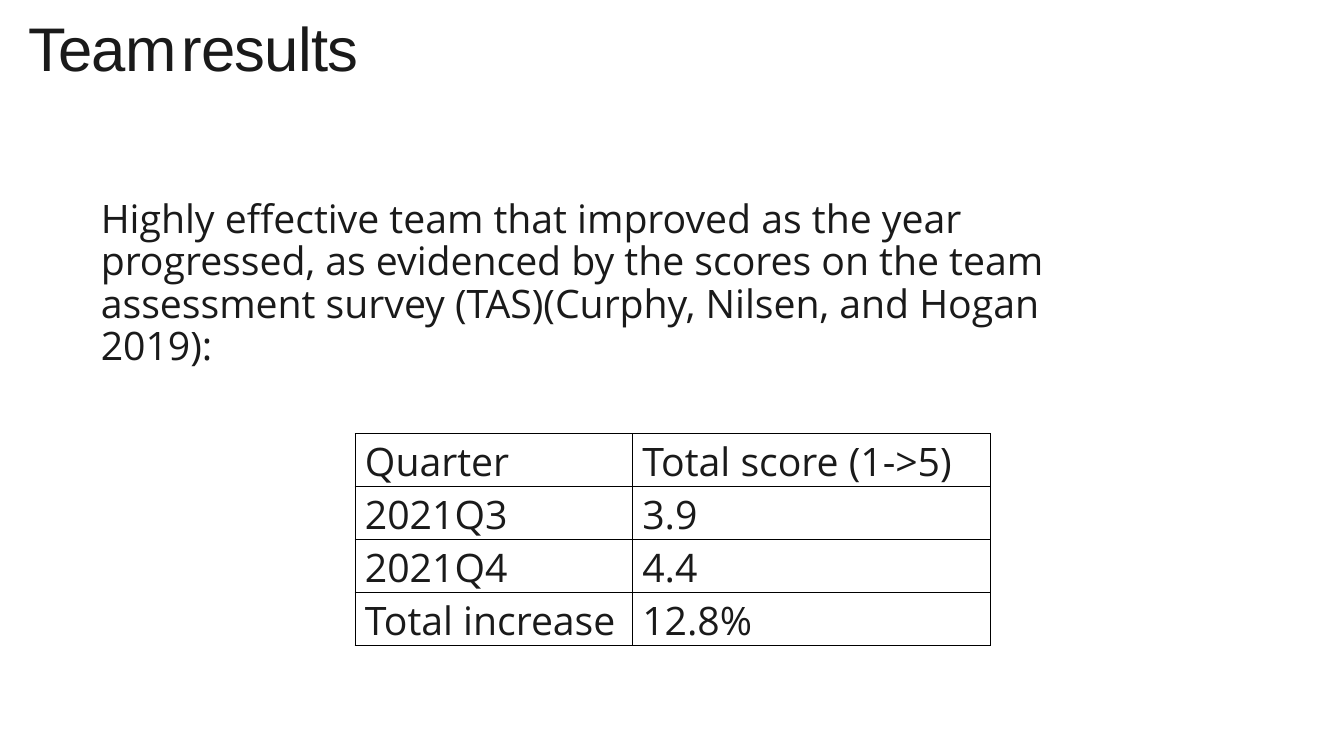
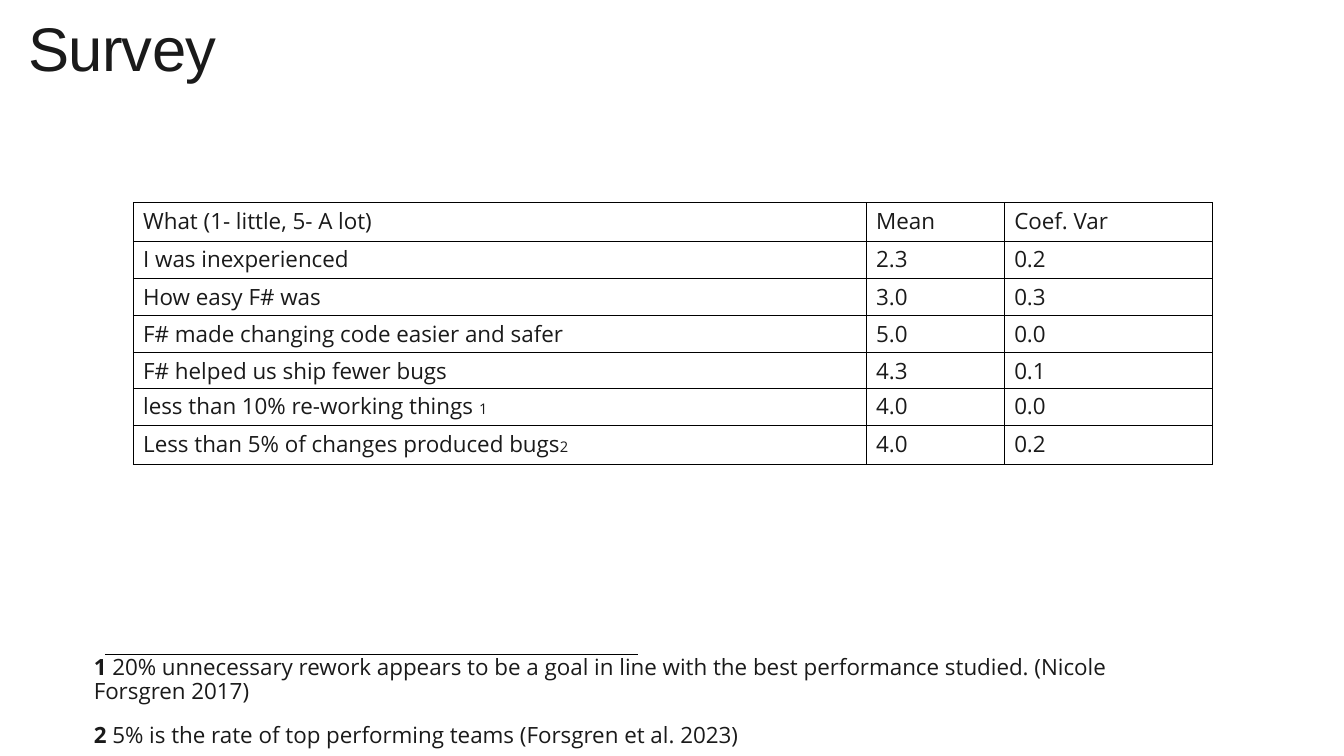
from dataclasses import dataclass

from lxml.etree import SubElement
from pptx import Presentation
from pptx.dml.color import RGBColor
from pptx.enum.shapes import MSO_CONNECTOR
from pptx.enum.text import MSO_ANCHOR, MSO_AUTO_SIZE, PP_ALIGN
from pptx.oxml.ns import qn
from pptx.util import Inches, Pt


@dataclass(frozen=True)
class Theme:
    ink: RGBColor = RGBColor(0x1A, 0x1A, 0x1A)
    rule: RGBColor = RGBColor(0, 0, 0)
    title_font: str = "Arial"
    body_font: str = "Open Sans"
    space_font: str = "Calibri"
    title_size: float = 44
    title_space_size: float = 14
    large_size: float = 28
    small_size: float = 16
    marker_size: float = 10.5
    line_spacing: float = 0.9
    paragraph_gap: float = 14.2
    cell_border: float = 0.5
    footnote_rule: float = 0.4


class Deck:
    """Holds the presentation, its theme and the current slide."""

    def __init__(self, theme):
        self.theme = theme
        self.presentation = Presentation()
        self.presentation.slide_width = Inches(13.33)
        self.presentation.slide_height = Inches(7.5)
        self.slide = None

    def add_run(self, paragraph, text, size, font=None, bold=False):
        run = paragraph.add_run()
        run.text = text
        run.font.name = font or self.theme.body_font
        run.font.size = Pt(size)
        run.font.bold = bold
        run.font.color.rgb = self.theme.ink
        return run

    def format_frame(self, frame, top_inset):
        frame.word_wrap = True
        frame.auto_size = MSO_AUTO_SIZE.NONE
        frame.vertical_anchor = MSO_ANCHOR.TOP
        frame.margin_left = frame.margin_right = frame.margin_bottom = 0
        frame.margin_top = Inches(top_inset)

    def format_paragraph(self, paragraph, gap=0):
        paragraph.alignment = PP_ALIGN.LEFT
        paragraph.line_spacing = self.theme.line_spacing
        paragraph.space_before = Pt(gap)

    def add_slide(self, title):
        theme = self.theme
        self.slide = self.presentation.slides.add_slide(self.presentation.slide_layouts[5])
        shape = self.slide.shapes.title
        shape.left, shape.top = Inches(0.28), Inches(0.16)
        shape.width, shape.height = Inches(4), Inches(1.3)
        self.format_frame(shape.text_frame, 0.02)
        paragraph = shape.text_frame.paragraphs[0]
        self.format_paragraph(paragraph)
        for index, word in enumerate(title.split()):
            if index:  # words are set apart by a narrow space
                self.add_run(paragraph, " ", theme.title_space_size, theme.space_font)
            run = self.add_run(paragraph, word, theme.title_size, theme.title_font)
            run.font._element.set("spc", "-50")

    def add_text(self, left, top, width, height, paragraphs, size):
        """Each paragraph is a list of (text, bold) pairs."""
        shape = self.slide.shapes.add_textbox(
            Inches(left), Inches(top), Inches(width), Inches(height))
        frame = shape.text_frame
        self.format_frame(frame, 0.01)
        for index, pieces in enumerate(paragraphs):
            paragraph = frame.add_paragraph() if index else frame.paragraphs[0]
            self.format_paragraph(paragraph, self.theme.paragraph_gap if index else 0)
            for text, bold in pieces:
                self.add_run(paragraph, text, size, bold=bold)

    def add_border(self, cell):
        properties = cell._tc.get_or_add_tcPr()
        for side in ("lnL", "lnR", "lnT", "lnB"):
            line = SubElement(properties, qn(f"a:{side}"), w=str(Pt(self.theme.cell_border)))
            fill = SubElement(line, qn("a:solidFill"))
            SubElement(fill, qn("a:srgbClr"), val=str(self.theme.rule))

    def add_table(self, left, top, widths, heights, rows, size, markers=None):
        """Markers maps a row number to the footnote number after its label."""
        table = self.slide.shapes.add_table(
            len(rows), len(widths), Inches(left), Inches(top),
            Inches(sum(widths)), Inches(sum(heights))).table
        table.first_row = table.horz_banding = False
        for column, width in zip(table.columns, widths):
            column.width = Inches(width)
        for row, height in zip(table.rows, heights):
            row.height = Inches(height)
        for row_index, values in enumerate(rows):
            for column_index, value in enumerate(values):
                cell = table.cell(row_index, column_index)
                cell.margin_top, cell.margin_bottom = Inches(0.05), 0
                self.add_border(cell)
                cell.fill.background()
                paragraph = cell.text_frame.paragraphs[0]
                self.format_paragraph(paragraph)
                self.add_run(paragraph, value, size)
                if column_index == 0 and markers and row_index in markers:
                    self.add_run(paragraph, markers[row_index], self.theme.marker_size)

    def add_rule(self, left, top, width):
        line = self.slide.shapes.add_connector(
            MSO_CONNECTOR.STRAIGHT, Inches(left), Inches(top),
            Inches(left + width), Inches(top))
        line.line.color.rgb = self.theme.rule
        line.line.width = Pt(self.theme.footnote_rule)
        SubElement(line._element.spPr, qn("a:effectLst"))


def build_team_results(deck):
    deck.add_slide("Team results")
    size = deck.theme.large_size
    # Introduction
    deck.add_text(1, 1.97, 10.41, 2.3, [[(
        "Highly effective team that improved as the year progressed, as evidenced by "
        "the scores on the team assessment survey (TAS)(Curphy, Nilsen, and Hogan 2019):",
        False)]], size)
    # Quarterly scores
    rows = [
        ("Quarter", "Total score (1->5)"),
        ("2021Q3", "3.9"),
        ("2021Q4", "4.4"),
        ("Total increase", "12.8%"),
    ]
    deck.add_table(3.52, 4.3, [2.75, 3.55], [0.52] * len(rows), rows, size)


def build_survey(deck):
    deck.add_slide("Survey")
    size = deck.theme.small_size
    # Survey answers
    rows = [
        ("What (1- little, 5- A lot)", "Mean", "Coef. Var"),
        ("I was inexperienced", "2.3", "0.2"),
        ("How easy F# was", "3.0", "0.3"),
        ("F# made changing code easier and safer", "5.0", "0.0"),
        ("F# helped us ship fewer bugs", "4.3", "0.1"),
        ("less than 10% re-working things ", "4.0", "0.0"),
        ("Less than 5% of changes produced bugs", "4.0", "0.2"),
    ]
    heights = [0.38, 0.37, 0.37, 0.37, 0.35, 0.37, 0.39]
    deck.add_table(1.32, 2.01, [7.27, 1.37, 2.06], heights, rows, size,
                   markers={5: "1", 6: "2"})
    # Footnotes
    deck.add_rule(1.04, 6.49, 5.29)
    deck.add_text(0.93, 6.5, 10.22, 0.93, [
        [("1", True), (" 20% unnecessary rework appears to be a goal in line with the "
                       "best performance studied. (Nicole Forsgren 2017)", False)],
        [("2", True), (" 5% is the rate of top performing teams "
                       "(Forsgren et al. 2023)", False)],
    ], size)


def main():
    deck = Deck(Theme())
    build_team_results(deck)
    build_survey(deck)
    deck.presentation.save("out.pptx")


if __name__ == "__main__":
    main()
